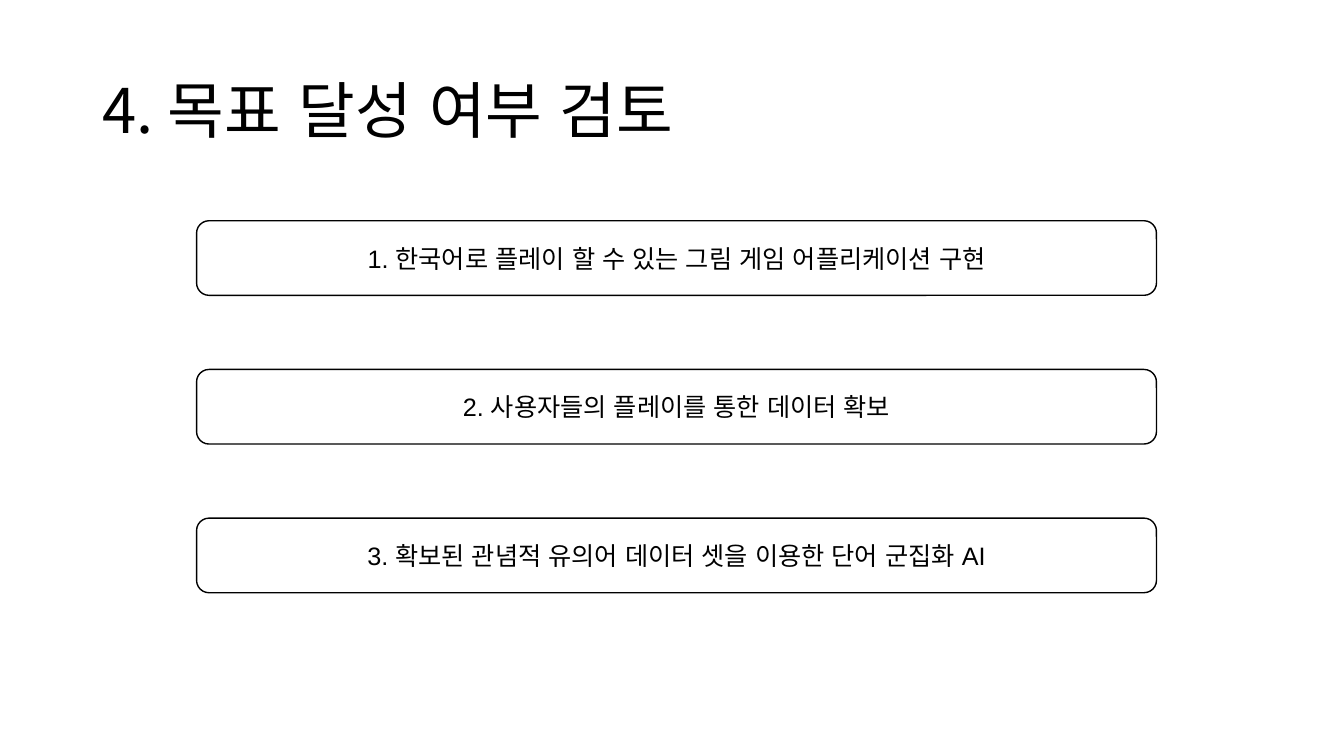
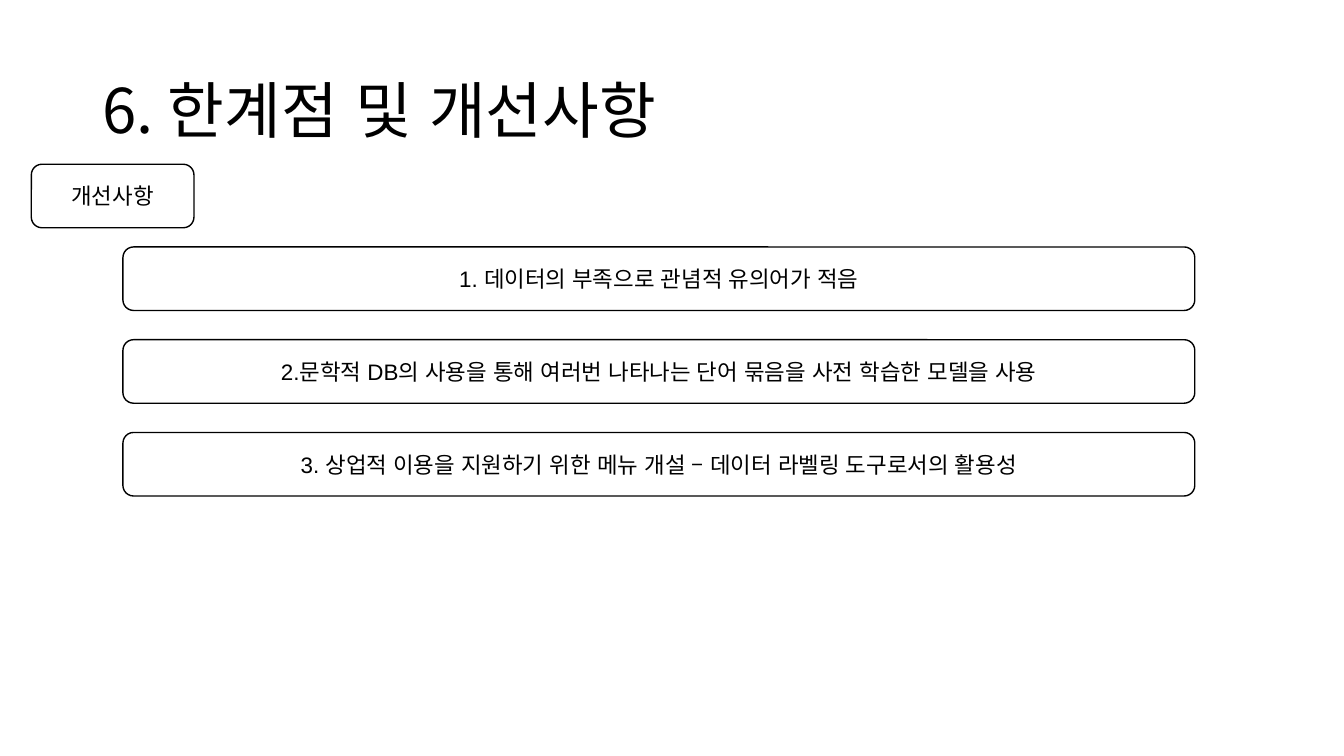
from dataclasses import dataclass

from lxml import etree
from pptx import Presentation
from pptx import util as u
from pptx.dml.color import RGBColor
from pptx.enum import lang, shapes, text
from pptx.oxml import ns


@dataclass(frozen=True)
class Theme:
    ink: RGBColor = RGBColor(0, 0, 0)
    paper: RGBColor = RGBColor(255, 255, 255)
    title_font: str = "Noto Sans CJK KR"
    body_font: str = "Arial"
    korean_font: str = "Noto Sans CJK KR"
    title_size: int = 44
    goal_size: int = 18
    remark_size: int = 16
    outline: float = 1
    title_area: tuple = (6.9, 5.33, 86.25, 19.33)


class Deck:
    """Areas are (left, top, width, height) in percent of the slide's size."""

    def __init__(self, theme):
        self.theme = theme
        self.prs = Presentation()
        self.prs.slide_width = u.Inches(13.33)
        self.prs.slide_height = u.Inches(7.5)
        self.slide = None

    def place(self, area):
        sides = (self.prs.slide_width, self.prs.slide_height) * 2
        return [u.Emu(round(side * share / 100)) for side, share in zip(sides, area)]

    def add_wording(self, shape, wording, font, size, align):
        frame = shape.text_frame
        frame.word_wrap = True
        frame.vertical_anchor = text.MSO_ANCHOR.MIDDLE
        line = frame.paragraphs[0]
        line.alignment = align
        run = line.add_run()
        run.text = wording
        run.font.name = font
        run.font.size = u.Pt(size)
        run.font.color.rgb = self.theme.ink
        run.font.language_id = lang.MSO_LANGUAGE_ID.KOREAN
        east_asian = etree.SubElement(run.font._element, ns.qn("a:ea"))
        east_asian.set("typeface", self.theme.korean_font)
        return line

    def start(self, title):
        """Open a new slide with its title."""
        self.slide = self.prs.slides.add_slide(self.prs.slide_layouts[6])
        heading = self.slide.shapes.add_textbox(*self.place(self.theme.title_area))
        line = self.add_wording(heading, title, self.theme.title_font,
                                self.theme.title_size, text.PP_ALIGN.LEFT)
        line.line_spacing = 0.9

    def panel(self, area, wording, size):
        panel = self.slide.shapes.add_shape(
            shapes.MSO_SHAPE.ROUNDED_RECTANGLE, *self.place(area))
        panel.shadow.inherit = False
        panel.fill.solid()
        panel.fill.fore_color.rgb = self.theme.paper
        panel.line.color.rgb = self.theme.ink
        panel.line.width = u.Pt(self.theme.outline)
        self.add_wording(panel, wording, self.theme.body_font, size,
                         text.PP_ALIGN.CENTER)

    def stack(self, first, pitch, wordings, size):
        """Equal panels below each other, pitch percent from top to top."""
        left, top, width, height = first
        for row, wording in enumerate(wordings):
            self.panel((left, top + row * pitch, width, height), wording, size)


def main():
    theme = Theme()
    deck = Deck(theme)

    deck.start("4. 목표 달성 여부 검토")
    deck.stack((14.63, 29.2, 71.42, 9.87), 19.67, [
        "1. 한국어로 플레이 할 수 있는 그림 게임 어플리케이션 구현",
        "2. 사용자들의 플레이를 통한 데이터 확보",
        "3. 확보된 관념적 유의어 데이터 셋을 이용한 단어 군집화 AI",
    ], theme.goal_size)

    deck.start("6. 한계점 및 개선사항")
    deck.panel((2.33, 21.73, 12.1, 8.4), "개선사항", theme.remark_size)
    deck.stack((9.15, 32.67, 79.75, 8.4), 12.27, [
        "1. 데이터의 부족으로 관념적 유의어가 적음",
        "2.문학적 DB의 사용을 통해 여러번 나타나는 단어 묶음을 사전 학습한 모델을 사용",
        "3. 상업적 이용을 지원하기 위한 메뉴 개설 – 데이터 라벨링 도구로서의 활용성",
    ], theme.remark_size)

    deck.prs.save("out.pptx")


if __name__ == "__main__":
    main()
